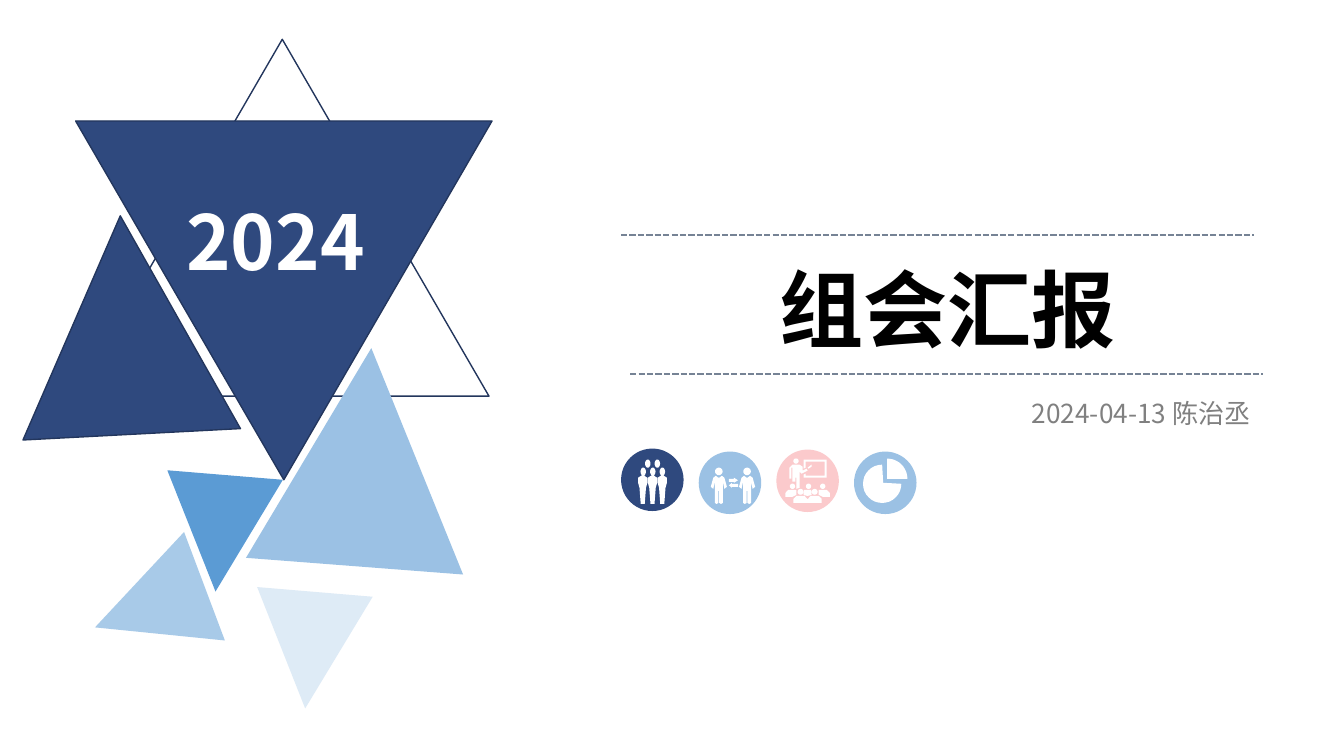
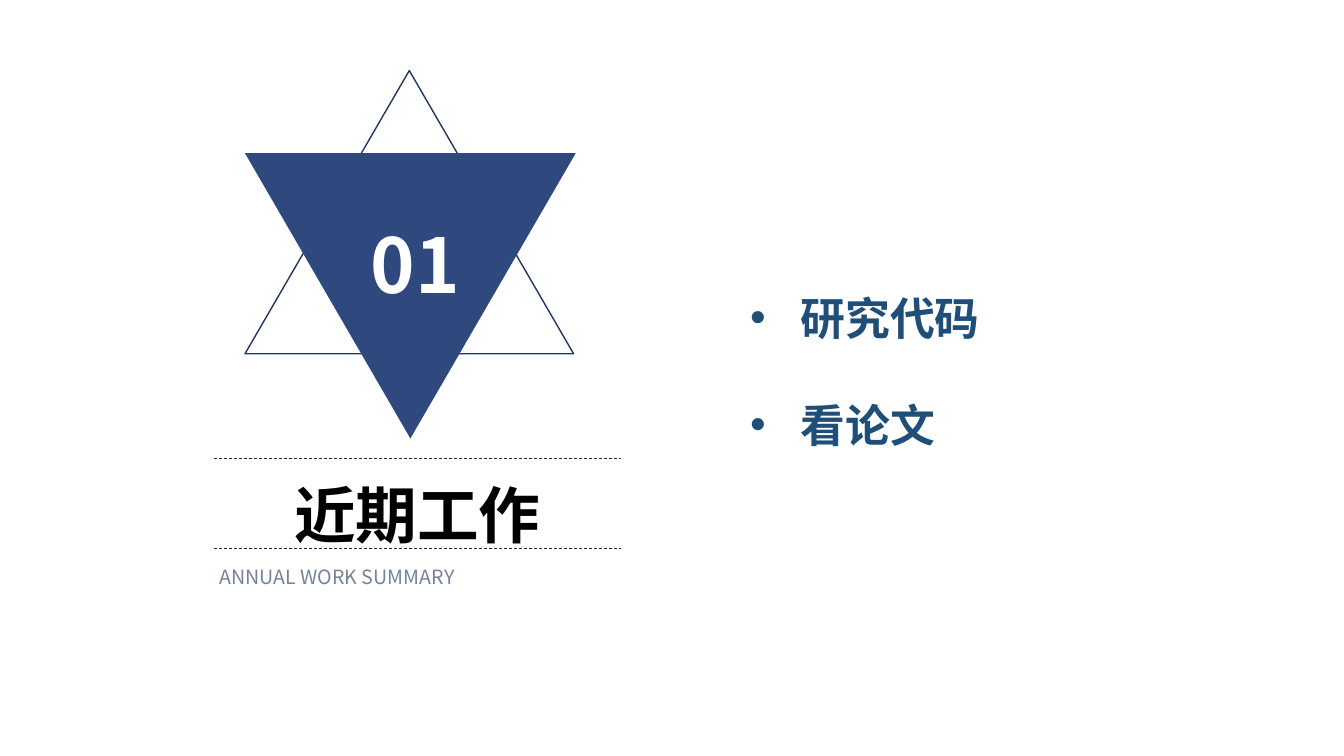
import math

from lxml import etree
from pptx import Presentation
from pptx.dml.color import RGBColor
from pptx.enum.dml import MSO_LINE
from pptx.enum.shapes import MSO_CONNECTOR, MSO_SHAPE
from pptx.enum.text import MSO_ANCHOR, MSO_AUTO_SIZE, PP_ALIGN
from pptx.oxml.ns import qn
from pptx.util import Inches, Pt

# Shared look
NAVY = RGBColor(0x2F, 0x49, 0x7E)
OUTLINE = RGBColor(0x23, 0x36, 0x5D)
SKY = RGBColor(0x9B, 0xC1, 0xE4)
BLUE = RGBColor(0x5B, 0x9B, 0xD4)
PINK = RGBColor(0xFB, 0xCA, 0xCC)
SLATE = RGBColor(0x76, 0x83, 0x95)
GRAY = RGBColor(0x80, 0x80, 0x80)
CHARCOAL = RGBColor(0x26, 0x26, 0x26)
DEEP_BLUE = RGBColor(0x1F, 0x4E, 0x78)
BLACK = RGBColor(0, 0, 0)
WHITE = RGBColor(0xFF, 0xFF, 0xFF)
CJK_FONT = "Noto Sans CJK SC"
BULLET_FONT = "Arial"

TRIANGLE, OVAL = MSO_SHAPE.ISOSCELES_TRIANGLE, MSO_SHAPE.OVAL
STRAIGHT = MSO_CONNECTOR.STRAIGHT
DASH, SHORT_DASH = MSO_LINE.DASH, MSO_LINE.SQUARE_DOT
LEFT, CENTER, JUSTIFY = PP_ALIGN.LEFT, PP_ALIGN.CENTER, PP_ALIGN.JUSTIFY
TOP, MIDDLE = MSO_ANCHOR.TOP, MSO_ANCHOR.MIDDLE
GROW, FIXED = MSO_AUTO_SIZE.SHAPE_TO_FIT_TEXT, MSO_AUTO_SIZE.NONE
TITLE_ONLY = 5

# Content: triangles are (box, rotation, fill, opacity %, outline)
COVER = {
    "title": "组会汇报",
    "year": "2024",
    "byline": "2024-04-13 陈治丞",
    "triangles": [
        ((0.75, 0.39, 4.1, 3.54), 0, None, 100, OUTLINE),
        ((0.75, 1.2, 4.13, 3.56), 180, NAVY, 100, OUTLINE),
        ((0.17, 2.14, 2.16, 2.17), 357, NAVY, 100, OUTLINE),
        ((2.52, 3.45, 2.16, 2.17), 4.4, SKY, 100, None),
        ((1.61, 4.71, 1.15, 1.16), 184.7, BLUE, 100, None),
        ((0.91, 5.44, 1.15, 1.16), 249.4, BLUE, 53, None),
        ((2.5, 5.87, 1.15, 1.16), 184.8, BLUE, 20, None),
    ],
    "rules": [(6.16, 2.33), (6.25, 3.71)],
}
SECTION = {
    "title": "近期工作",
    "number": "01",
    "subtitle": "ANNUAL WORK SUMMARY",
    "topics": ["研究代码", "看论文"],
    "triangles": [
        ((2.43, 0.7, 3.26, 2.81), 0, None, 100, OUTLINE),
        ((2.43, 1.52, 3.28, 2.83), 180, NAVY, 100, None),
    ],
    "rules": [(2.12, 4.55), (2.12, 5.44)],
}


# Icon outlines, in hundredths of an inch from the badge's corner
def arc(cx, cy, rx, ry, start=0, end=360, steps=24):
    angles = [math.radians(start + (end - start) * i / steps) for i in range(steps + 1)]
    return [(cx + rx * math.cos(a), cy + ry * math.sin(a)) for a in angles]


def disc(cx, cy, r):
    return arc(cx, cy, r, r)


def symmetric(half, axis):
    """Close a right-hand outline with its mirror about the axis."""
    return ([(axis + x, y) for x, y in half]
            + [(axis - x, y) for x, y in reversed(half)])


def team_icon():
    body = [(1.5, 27), (4.6, 29), (4.6, 34), (3.2, 39), (2, 55)]
    heads = [(22 + 9.5 * i, 23) for i in range(3)] + [(26.5 + 9.5 * i, 15) for i in range(2)]
    return ([arc(x, y, 2.7, 4) for x, y in heads]
            + [symmetric(body, 21.5 + 9.7 * i) for i in range(3)])


def exchange_icon():
    body = [(0.5, 26), (3, 24), (5.5, 26), (8, 35), (5.5, 37), (4, 30),
            (4, 51), (2.2, 52), (0.4, 51), (0.4, 39)]
    people = [20, 48]
    right_arrow = [(35, 26), (39, 28.5), (35, 31), (35, 30), (30, 30), (30, 27), (35, 27)]
    left_arrow = [(33, 31), (33, 32), (39, 32), (39, 35), (33, 35), (33, 36), (30, 33.5)]
    return ([disc(x, 19.7, 3.7) for x in people]
            + [symmetric(body, x) for x in people] + [right_arrow, left_arrow])


def lecture_icon():
    heads = [(19.5, 11.5, 2.6), (16, 36.5, 2.6), (32, 36.5, 2.6), (46, 36.5, 2.6),
             (24, 42, 2.9), (38, 42, 2.9)]
    speaker = [(16, 15), (23, 15), (26, 17), (26, 21), (30, 19), (31, 21), (25, 24),
               (23, 22), (23, 38), (20, 39), (20, 28), (19, 28), (19, 32),
               (16, 32), (16, 18), (15, 18), (15, 29), (13, 29), (13, 18)]
    board = [(27, 10), (50, 10), (50, 28), (27, 28), (27, 25), (29, 24), (29, 26),
             (48, 26), (48, 12), (29, 12), (29, 18), (27, 19)]
    pointer = [(31, 18), (35, 15), (35, 17), (32, 19)]
    side = [(9, 47), (9, 43), (12, 40), (20, 40), (20, 45), (16, 47)]
    other_side = [(62 - x, y) for x, y in side]
    middle = symmetric([(3.5, 40), (4, 45), (0.5, 46)], 31)
    front = symmetric([(0.5, 49), (3, 46), (11, 46), (14, 49), (14, 53)], 31)
    return [disc(*h) for h in heads] + [speaker, board, pointer, side, other_side, middle, front]


def pie_icon():
    return [[(29, 31)] + arc(28, 32, 19, 19, 0, 270),
            [(33, 27)] + arc(33, 27, 20, 20, -90, 0)]


# Badges: fill, distance below the row's top, outlines
BADGES = [(NAVY, 0, team_icon()), (SKY, 0.03, exchange_icon()),
          (PINK, 0.01, lecture_icon()), (SKY, 0.03, pie_icon())]
BADGE_LEFT, BADGE_TOP, BADGE_SIZE, BADGE_PITCH = 6.16, 4.45, 0.62, 0.77


# Drawing helpers
def paint(shape, fill=None, opacity=100, outline=None):
    shape.shadow.inherit = False
    if fill is None:
        shape.fill.background()
    else:
        shape.fill.solid()
        shape.fill.fore_color.rgb = fill
    if opacity < 100:
        color = shape.fill._xPr.find(qn("a:solidFill"))[0]
        etree.SubElement(color, qn("a:alpha"), val=str(opacity * 1000))
    if outline is None:
        shape.line.fill.background()
    else:
        shape.line.color.rgb = outline
        shape.line.width = Pt(1)


def add_triangles(slide, triangles):
    for box, rotation, fill, opacity, outline in triangles:
        triangle = slide.shapes.add_shape(TRIANGLE, *map(Inches, box))
        triangle.rotation = rotation
        paint(triangle, fill, opacity, outline)


def add_rules(slide, starts, length, color, width, dash):
    for x, y in starts:
        rule = slide.shapes.add_connector(
            STRAIGHT, Inches(x), Inches(y), Inches(x + length), Inches(y))
        rule.line.color.rgb = color
        rule.line.width = Pt(width)
        rule.line.dash_style = dash
        etree.SubElement(rule._element.spPr, qn("a:effectLst"))


def write(slide, text, box, size, color, *, bold=False, align=LEFT, anchor=TOP, wrap=True,
          fit=GROW, font=CJK_FONT, spacing=None, bullet=None, gap=0, title=False):
    """Put one paragraph per text item in a text box or the title placeholder."""
    if title:
        holder = slide.shapes.title
        holder.left, holder.top, holder.width, holder.height = map(Inches, box)
    else:
        holder = slide.shapes.add_textbox(*map(Inches, box))
    frame = holder.text_frame
    frame.word_wrap, frame.auto_size, frame.vertical_anchor = wrap, fit, anchor
    for i, item in enumerate([text] if isinstance(text, str) else text):
        paragraph = frame.add_paragraph() if i else frame.paragraphs[0]
        paragraph.alignment = align
        if spacing:
            paragraph.line_spacing = spacing
        if i and gap:
            paragraph.space_before = Pt(gap)
        if bullet:
            props = paragraph._p.get_or_add_pPr()
            props.set("marL", str(Inches(0.5)))
            props.set("indent", str(-Inches(0.5)))
            etree.SubElement(props, qn("a:buFont"), typeface=BULLET_FONT)
            etree.SubElement(props, qn("a:buChar"), char=bullet)
        run = paragraph.add_run()
        run.text = item
        run.font.size, run.font.bold, run.font.name = Pt(size), bold, font
        run.font.color.rgb = color
        etree.SubElement(run._r.get_or_add_rPr(), qn("a:ea"), typeface=CJK_FONT)


def add_badges(slide):
    tenths = 10  # whole-number precision for outline points
    for i, (fill, drop, outlines) in enumerate(BADGES):
        left, top = Inches(BADGE_LEFT + i * BADGE_PITCH), Inches(BADGE_TOP + drop)
        badge = slide.shapes.add_group_shape().shapes
        size = Inches(BADGE_SIZE)
        paint(badge.add_shape(OVAL, left, top, size, size), fill)
        scaled = [[(x * tenths, y * tenths) for x, y in points] for points in outlines]
        builder = badge.build_freeform(*scaled[0][0], scale=Inches(0.01) / tenths)
        for n, points in enumerate(scaled):
            if n:
                builder.move_to(*points[0])
            builder.add_line_segments(points[1:], close=True)
        paint(builder.convert_to_shape(left, top), WHITE)


# Slides
def build_cover(slide):
    add_triangles(slide, COVER["triangles"])
    add_rules(slide, COVER["rules"], 6.28, SLATE, 1.5, SHORT_DASH)
    write(slide, COVER["title"], (7.61, 2.5, 3.57, 1.11), 60, BLACK,
          bold=True, align=CENTER, wrap=False, title=True)
    write(slide, COVER["year"], (1.75, 1.88, 2.4, 1.01), 54, WHITE, bold=True)
    write(slide, COVER["byline"], (10.06, 3.89, 2.52, 0.42), 18.7, GRAY,
          align=CENTER, wrap=False)
    add_badges(slide)


def build_section(slide):
    add_rules(slide, SECTION["rules"], 4.04, CHARCOAL, 0.5, DASH)
    write(slide, SECTION["title"], (2.08, 4.5, 4.12, 0.94), 44, BLACK,
          bold=True, align=CENTER, spacing=1.25, title=True)
    add_triangles(slide, SECTION["triangles"])
    write(slide, SECTION["number"], (3.58, 2.11, 1.91, 1.01), 54, WHITE, bold=True)
    write(slide, SECTION["subtitle"], (2.08, 5.44, 4.04, 0.56), 14, SLATE,
          align=JUSTIFY, anchor=MIDDLE, fit=FIXED)
    write(slide, SECTION["topics"], (7.34, 2.83, 3.68, 1.72), 32, DEEP_BLUE,
          bold=True, font=BULLET_FONT, bullet="•", gap=38)


def main():
    deck = Presentation()
    deck.slide_width, deck.slide_height = Inches(13.33), Inches(7.5)
    for build in (build_cover, build_section):
        build(deck.slides.add_slide(deck.slide_layouts[TITLE_ONLY]))
    deck.save("out.pptx")


if __name__ == "__main__":
    main()
